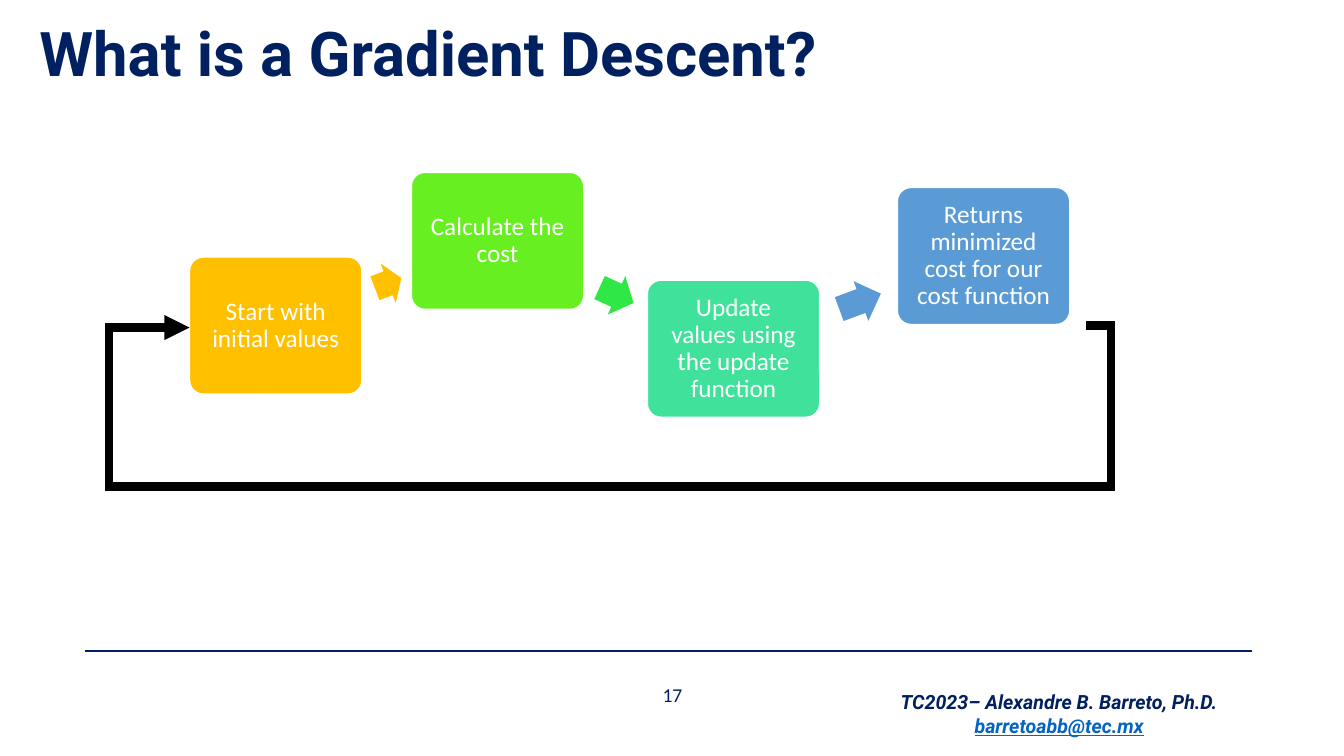
from lxml import etree
from pptx import Presentation
from pptx.dml.color import RGBColor
from pptx.enum.shapes import MSO_CONNECTOR, MSO_SHAPE
from pptx.enum.text import MSO_ANCHOR, PP_ALIGN
from pptx.oxml.ns import qn
from pptx.util import Inches, Pt

ELBOW, STRAIGHT = MSO_CONNECTOR.ELBOW, MSO_CONNECTOR.STRAIGHT
ROUNDED, ARROW = MSO_SHAPE.ROUNDED_RECTANGLE, MSO_SHAPE.RIGHT_ARROW
TOP, MIDDLE = MSO_ANCHOR.TOP, MSO_ANCHOR.MIDDLE
LEFT, CENTER = PP_ALIGN.LEFT, PP_ALIGN.CENTER

COLORS = {
    "navy": "002060", "link": "0563C1", "white": "FFFFFF", "black": "000000",
    "amber": "FFC000", "lime": "67EF21", "green": "30E845",
    "mint": "3FE19B", "blue": "5B9BD5",
}
STEP_WIDTH, STEP_HEIGHT = 1.71, 1.36


def color(name):
    return RGBColor.from_string(COLORS[name])


def write(paragraph, text, size=14, font="Calibri", fill="navy", bold=False,
          italic=False, underline=False, align=CENTER, spacing=None):
    paragraph.alignment = align
    paragraph.line_spacing = spacing
    run = paragraph.add_run()
    run.text = text
    run.font.size, run.font.name = Pt(size), font
    run.font.bold, run.font.italic, run.font.underline = bold, italic, underline
    run.font.color.rgb = color(fill)


class SlideBuilder:
    def __init__(self, slide):
        self.slide = slide

    def title(self, text, left, top, width, height):
        shape = self.slide.shapes.title
        shape.left, shape.top = Inches(left), Inches(top)
        shape.width, shape.height = Inches(width), Inches(height)
        shape.text_frame.vertical_anchor = MIDDLE
        write(shape.text_frame.paragraphs[0], text, size=44, font="Roboto",
              bold=True, align=LEFT, spacing=0.9)

    def text_box(self, left, top, width, height, anchor=TOP):
        shape = self.slide.shapes.add_textbox(
            Inches(left), Inches(top), Inches(width), Inches(height))
        shape.text_frame.word_wrap = True
        shape.text_frame.vertical_anchor = anchor
        return shape.text_frame

    def shape(self, kind, left, top, width, height, fill, adjustments):
        shape = self.slide.shapes.add_shape(
            kind, Inches(left), Inches(top), Inches(width), Inches(height))
        shape.shadow.inherit = False
        shape.fill.solid()
        shape.fill.fore_color.rgb = color(fill)
        shape.line.fill.background()
        for index, value in enumerate(adjustments):
            shape.adjustments[index] = value
        return shape

    def step(self, text, left, top, fill):
        shape = self.shape(ROUNDED, left, top, STEP_WIDTH, STEP_HEIGHT, fill, [0.1])
        shape.line.color.rgb = color("white")
        shape.line.width = Pt(1)
        frame = shape.text_frame
        frame.word_wrap = True
        frame.vertical_anchor = MIDDLE
        frame.margin_left = frame.margin_right = Inches(0.11)
        frame.margin_top = frame.margin_bottom = Inches(0.11)
        write(frame.paragraphs[0], text, size=18, fill="white", spacing=0.9)

    def arrow(self, left, top, width, fill, rotation):
        shape = self.shape(ARROW, left, top, width, 0.42, fill, [0.6, 0.5])
        shape.rotation = rotation

    def line(self, start, end, fill, width, kind=STRAIGHT):
        connector = self.slide.shapes.add_connector(
            kind, *(Inches(value) for value in (*start, *end)))
        connector.line.color.rgb = color(fill)
        connector.line.width = Pt(width)
        etree.SubElement(connector._element.spPr, qn("a:effectLst"))
        return connector

    def loop(self, start, end, right, bottom, left):
        """Elbow arrow that runs right, down, back to the left and up."""
        connector = self.line(start, end, "black", 6, ELBOW)
        across, down = end[0] - start[0], end[1] - start[1]
        bends = [(right - start[0]) / across, (bottom - start[1]) / down,
                 (left - start[0]) / across]
        properties = connector._element.spPr
        geometry = properties.find(qn("a:prstGeom"))
        geometry.set("prst", "bentConnector5")
        guides = geometry.find(qn("a:avLst"))
        if guides is None:
            guides = etree.SubElement(geometry, qn("a:avLst"))
        for number, bend in enumerate(bends, 1):
            etree.SubElement(guides, qn("a:gd"), name=f"adj{number}",
                             fmla=f"val {round(bend * 100000)}")
        outline = properties.find(qn("a:ln"))
        etree.SubElement(outline, qn("a:miter"), lim="800000")
        etree.SubElement(outline, qn("a:tailEnd"), type="triangle")


def main():
    presentation = Presentation()
    presentation.slide_width = Inches(13.33)
    presentation.slide_height = Inches(7.5)
    builder = SlideBuilder(
        presentation.slides.add_slide(presentation.slide_layouts[5]))

    # Title
    builder.title("What is a Gradient Descent?", 0.29, 0.17, 11.5, 0.78)

    # Footer
    builder.line((0.84, 6.46), (12.42, 6.46), "navy", 1.5)
    number = builder.text_box(5.81, 6.79, 1.72, 0.2, MIDDLE)
    write(number.paragraphs[0], "17")
    author = builder.text_box(8.67, 6.8, 3.67, 0.57)
    write(author.paragraphs[0], "TC2023– Alexandre B. Barreto, Ph.D.",
          font="Roboto", bold=True, italic=True)
    write(author.add_paragraph(), "barretoabb@tec.mx", font="Roboto",
          fill="link", bold=True, italic=True, underline=True)

    # Steps
    for step in (
        ("Start with initial values", 1.88, 2.55, "amber"),
        ("Calculate the cost", 4.08, 1.71, "lime"),
        ("Update values using the update function", 6.42, 2.78, "mint"),
        ("Returns minimized cost for our cost function", 8.9, 1.86, "blue"),
    ):
        builder.step(*step)

    # Arrows between steps
    for arrow in (
        (3.71, 2.6, 0.28, "amber", 339),
        (5.93, 2.72, 0.37, "green", 24.5),
        (8.31, 2.78, 0.44, "blue", 339.6),
    ):
        builder.arrow(*arrow)

    # Loop back to the first step
    builder.loop((10.77, 3.23), (1.88, 3.25), right=11.02, bottom=4.82, left=1.08)

    presentation.save("out.pptx")


if __name__ == "__main__":
    main()
